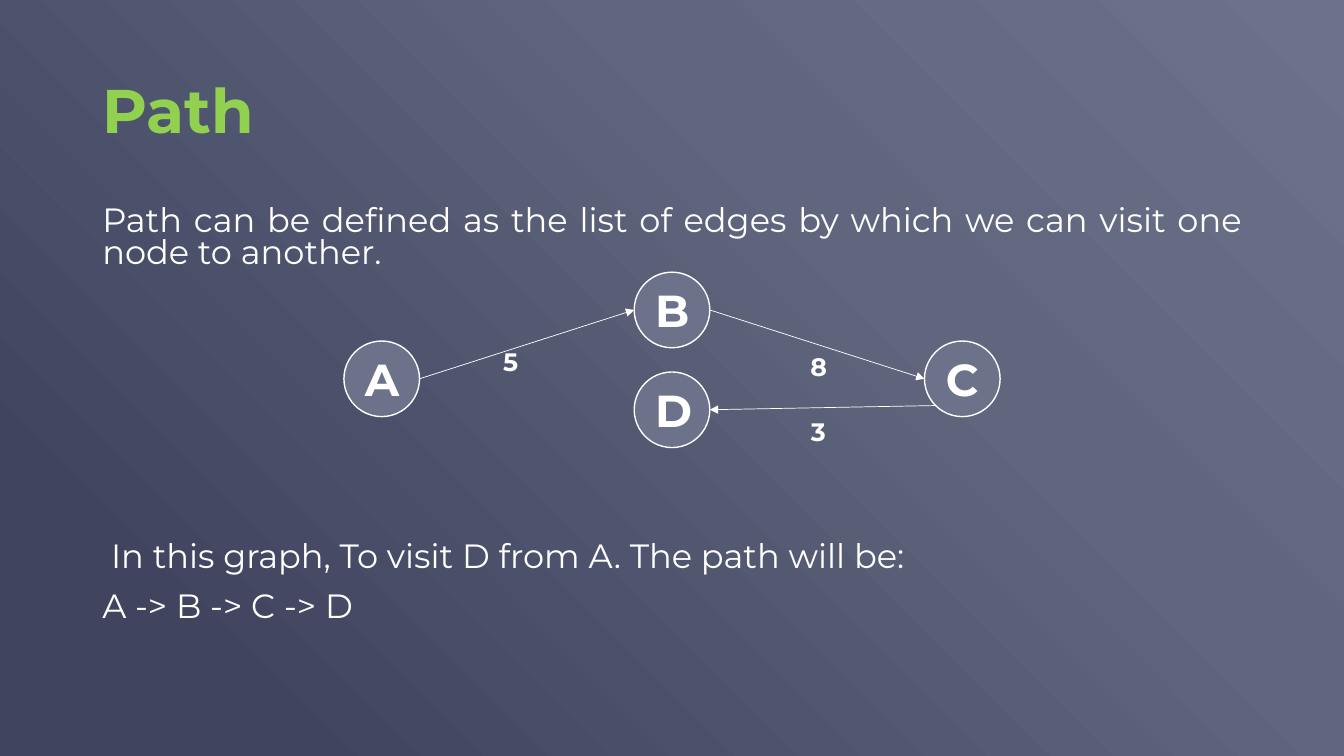
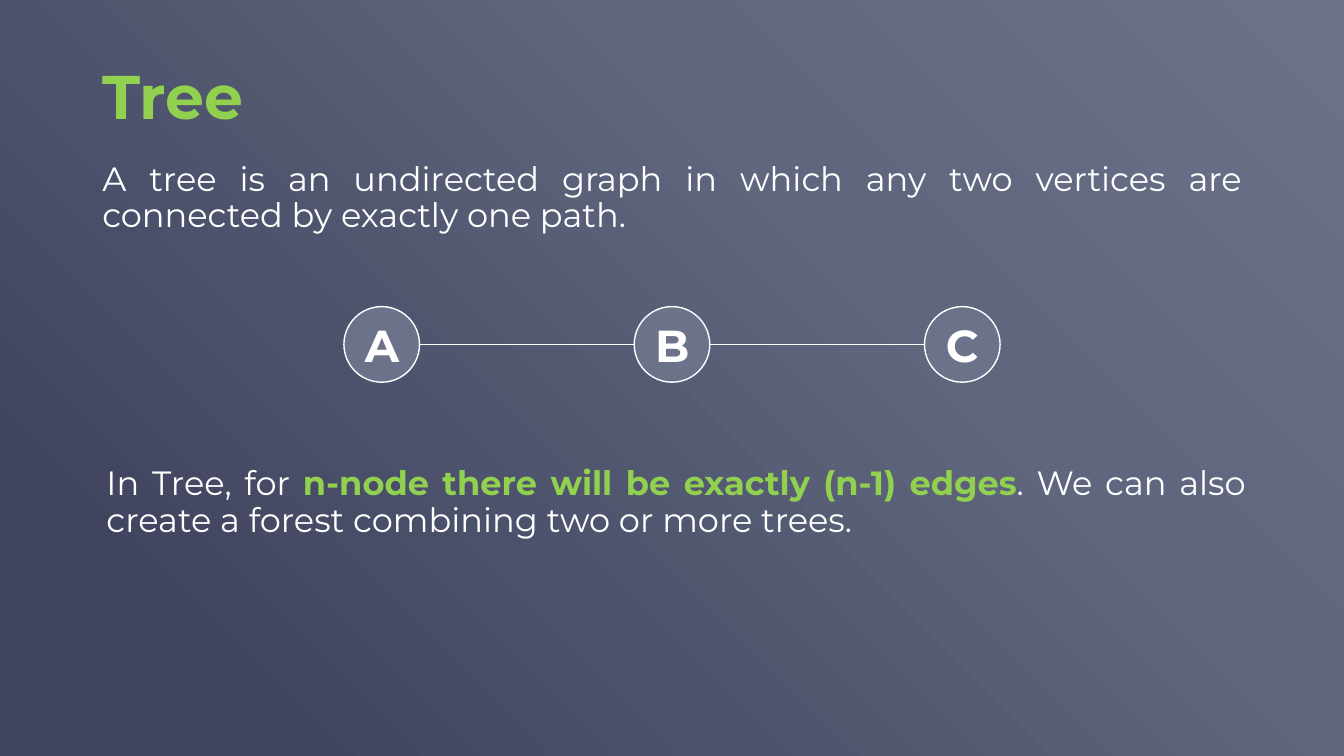
"""Build two slides that explain paths and trees in graphs."""
import math

from lxml import etree
from pptx import Presentation
from pptx.dml.color import RGBColor
from pptx.enum import shapes, text
from pptx.oxml import ns
from pptx.util import Emu, Pt

COLS, ROWS, CELL = 160, 90, 76200
FONT = "Montserrat"
WHITE, GREEN, SLATE = "FFFFFF", "92D050", "6C728A"
STOPS = ((0, SLATE), (35, "60667E"), (86, "40445F"))
LEFT, WIDE, NODE = 11, 138, 9
SPAN = 78.12
SIDE = (COLS - SPAN) / 2


def grid(*cells):
    """Turn grid cells into lengths."""
    return [Emu(round(cell * CELL)) for cell in cells]


def paint(color, value):
    """Set a colour format from a hex string."""
    color.rgb = RGBColor.from_string(value)


def add(parent, tag, **attrs):
    """Append a drawing element to its parent."""
    return etree.SubElement(parent, ns.qn("a:" + tag), attrs)


def backdrop(master):
    """Give the master a gradient that starts in the top right corner."""
    master.background.fill.gradient()
    grad = next(master.element.iter(ns.qn("a:gradFill")))
    for child in list(grad):
        grad.remove(child)
    stops = add(grad, "gsLst")
    for place, value in STOPS:
        add(add(stops, "gs", pos=str(place * 1000)), "srgbClr", val=value)
    way = add(grad, "path", path="circle")
    add(way, "fillToRect", l="100000", b="100000")
    add(grad, "tileRect", t="-100000", r="-100000")


def style(para, size, color=WHITE, bold=False, align=None, lead=None):
    """Set the look of a paragraph."""
    para.alignment = align
    para.line_spacing = lead
    para.font.name, para.font.size, para.font.bold = FONT, Pt(size), bold
    paint(para.font.color, color)


def title(slide, top, words):
    """Place the slide title."""
    frame = slide.shapes.add_textbox(*grid(LEFT, top, WIDE, 17.4)).text_frame
    frame.word_wrap = True
    frame.vertical_anchor = text.MSO_ANCHOR.MIDDLE
    frame.text = words
    style(frame.paragraphs[0], 44, GREEN, True, lead=0.9)


def body(slide, box, paras, lead=0.9):
    """Place justified paragraphs, each a list of plain and key runs in turn."""
    frame = slide.shapes.add_textbox(*grid(*box)).text_frame
    frame.word_wrap = True
    for row, runs in enumerate(paras):
        para = frame.add_paragraph() if row else frame.paragraphs[0]
        style(para, 24, align=text.PP_ALIGN.JUSTIFY, lead=lead)
        para.space_before = Pt(10 if row else 0)
        for turn, words in enumerate(runs):
            run = para.add_run()
            run.text = words
            if turn % 2:
                run.font.bold = True
                paint(run.font.color, GREEN)


def node(slide, name, left, top):
    """Draw a named round node."""
    disc = slide.shapes.add_shape(
        shapes.MSO_SHAPE.FLOWCHART_CONNECTOR, *grid(left, top, NODE, NODE))
    disc.shadow.inherit = False
    disc.fill.solid()
    paint(disc.fill.fore_color, SLATE)
    paint(disc.line.color, WHITE)
    disc.line.width = Pt(1)
    frame = disc.text_frame
    frame.vertical_anchor = text.MSO_ANCHOR.MIDDLE
    frame.text = name
    style(frame.paragraphs[0], 32, bold=True, align=text.PP_ALIGN.CENTER)


def rim(spot, angle):
    """Find the point on a node's rim at an angle, clockwise from the right."""
    turn = math.radians(angle)
    half = NODE / 2
    return (spot[0] + half + half * math.cos(turn),
            spot[1] + half + half * math.sin(turn))


def edge(slide, start, end, arrow):
    """Draw a thin line between two points."""
    line = slide.shapes.add_connector(
        shapes.MSO_CONNECTOR.STRAIGHT, *grid(*start, *end))
    paint(line.line.color, WHITE)
    line.line.width = Pt(0.5)
    if arrow:
        add(line.line._get_or_add_ln(), "tailEnd", type="triangle")
    add(line.element.spPr, "effectLst")


def weight(slide, start, end, words, shift):
    """Write an edge's weight, shifted from the middle of the edge."""
    wide, high = 4, 4.8
    left, top = [(a + b - size) / 2 + move for a, b, size, move
                 in zip(start, end, (wide, high), shift)]
    frame = slide.shapes.add_textbox(*grid(left, top, wide, high)).text_frame
    frame.word_wrap = False
    frame.text = words
    style(frame.paragraphs[0], 18, bold=True)


def graph(slide, box, nodes, edges, arrow=False):
    """Draw nodes at shares of a box, and the edges that join them."""
    left, top, wide, high = box
    spots = {name: (left + x * (wide - NODE), top + y * (high - NODE))
             for name, (x, y) in nodes.items()}
    for name, spot in spots.items():
        node(slide, name, *spot)
    for (first, out), (last, into), label, shift in edges:
        start, end = rim(spots[first], out), rim(spots[last], into)
        edge(slide, start, end, arrow)
        if label:
            weight(slide, start, end, label, shift)


def path(slide):
    """Fill the slide on paths."""
    title(slide, 4.8, "Path")
    body(slide, (LEFT, 24, WIDE, 9.6), [
        ["Path can be defined as the list of edges by which we can visit one "
         "node to another."]], 0.8)
    graph(slide, (SIDE, 32.4, SPAN, 20.88),
          {"A": (0, 0.69), "B": (0.5, 0), "C": (1, 0.69), "D": (0.5, 1)},
          [(("A", 0), ("B", 180), "5", (-2, 2)),
           (("B", 0), ("C", 180), "8", (0, 2.6)),
           (("C", 135), ("D", 0), "3", (-0.6, 2.9))], True)
    body(slide, (LEFT, 63.6, WIDE, 21.6), [
        [" In this graph, To visit D from A. The path will be:"],
        ["A -> B -> C -> D"]])


def tree(slide):
    """Fill the slide on trees."""
    title(slide, 3.2, "Tree")
    body(slide, (LEFT, 18.7, WIDE, 10.8), [
        ["A tree is an undirected graph in which any two vertices are "
         "connected by exactly one path."]])
    graph(slide, (SIDE, 36.5, SPAN, NODE),
          {"A": (0, 0), "B": (0.5, 0), "C": (1, 0)},
          [((a, 0), (b, 180), "", None) for a, b in ("AB", "BC")])
    body(slide, (LEFT + 0.5, 55, WIDE, 10.8), [
        ["In Tree, for ", "n-node there will be exactly (n-1) edges",
         ". We can also create a forest combining two or more trees."]])


def main():
    """Build and save the deck."""
    deck = Presentation()
    deck.slide_width, deck.slide_height = grid(COLS, ROWS)
    backdrop(deck.slide_master)
    for fill in (path, tree):
        fill(deck.slides.add_slide(deck.slide_layouts[6]))
    deck.save("out.pptx")


if __name__ == "__main__":
    main()
